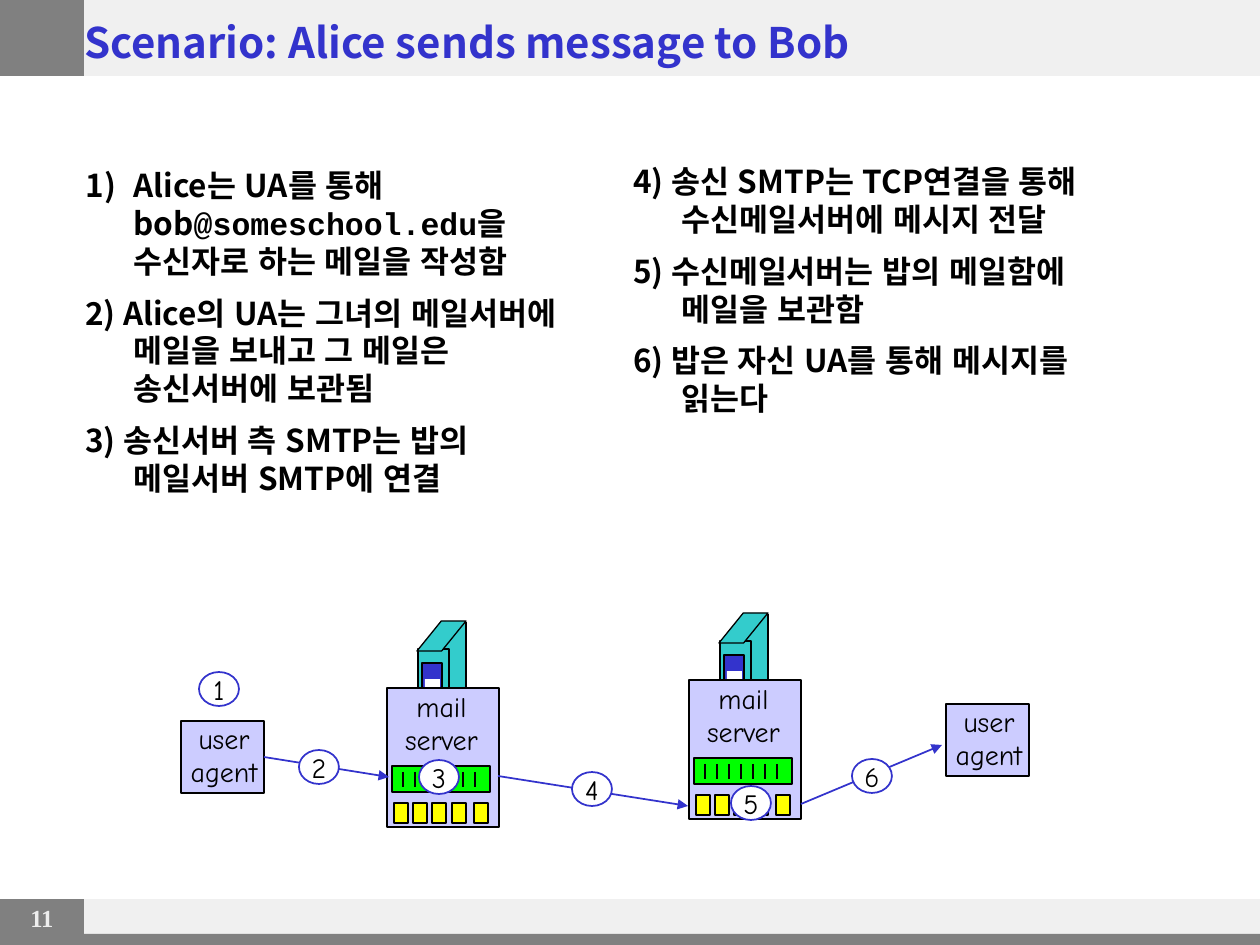
from pptx import Presentation, util as u
from pptx.dml.color import RGBColor
from pptx.enum import lang, shapes, text
from pptx.oxml.ns import qn
from lxml import etree

PX = 914400 / 126
BLACK = RGBColor(0, 0, 0)
WHITE = RGBColor(255, 255, 255)
BLUE = RGBColor(0x33, 0x33, 0xCC)
PALE = RGBColor(0xF0, 0xF0, 0xF0)
SNOW = RGBColor(0xEE, 0xEE, 0xEE)
GRAY = RGBColor(0x80, 0x80, 0x80)
LILAC = RGBColor(0xCC, 0xCC, 0xFF)
TEAL = RGBColor(0x33, 0xCC, 0xCC)
GREEN = RGBColor(0, 255, 0)
YELLOW = RGBColor(255, 255, 0)
NOTO, COMIC, MONO = "Noto Sans CJK KR", "Comic Neue", "Courier New"
RECT = shapes.MSO_SHAPE.RECTANGLE
LEFT, MID = text.PP_ALIGN.LEFT, text.PP_ALIGN.CENTER

prs = Presentation()
prs.slide_width, prs.slide_height = u.Inches(10), u.Inches(7.5)
slide = prs.slides.add_slide(prs.slide_layouts[6])


def draw(kind, x, y, w, h, fill, line=None, width=0.75):
    item = slide.shapes.add_shape(kind, *[round(v * PX) for v in (x, y, w, h)])
    item.shadow.inherit = False
    item.fill.solid()
    item.fill.fore_color.rgb = fill
    if line is None:
        item.line.fill.background()
    else:
        item.line.color.rgb = line
        item.line.width = u.Pt(width)
    return item


def write(item, paras, size, color, align=LEFT, bold=False, wrap=True):
    """Fill a shape, or a new box given as (x, y, w, h), with lists of (words, font)."""
    if isinstance(item, tuple):
        item = slide.shapes.add_textbox(*[round(v * PX) for v in item])
    frame = item.text_frame
    frame.word_wrap = wrap
    for i, runs in enumerate(paras):
        para = frame.paragraphs[0] if i == 0 else frame.add_paragraph()
        para.alignment = align
        for words, face in runs:
            run = para.add_run()
            run.text = words
            font = run.font
            font.size, font.bold, font.name = u.Pt(size), bold, face
            font.color.rgb = color
            font.language_id = lang.MSO_LANGUAGE_ID.KOREAN
            etree.SubElement(run._r.get_or_add_rPr(), qn("a:ea"), typeface=NOTO)
    return frame


# Header and footer bands
draw(RECT, 0, 899, 1260, 46, PALE)
draw(RECT, 0, 899, 84, 46, GRAY)
draw(RECT, 0, 0, 1260, 76, PALE)
draw(RECT, 0, 0, 84, 76, GRAY)
write((5, 897, 74, 42), [[("11", "Times New Roman")]], 14, SNOW, MID, True)
draw(RECT, 0, 934, 1260, 11, GRAY)

# Title
title = write((72, 10, 1135, 63), [[("Scenario: Alice sends message to Bob", NOTO)]],
              24, BLUE, bold=True)
title.vertical_anchor = text.MSO_ANCHOR.MIDDLE

# Steps in two columns
first = [
    [("Alice는 UA를 통해 bob", NOTO), ("@someschool.edu을 수신자로 하는 ", MONO),
     ("메일을 작성함", NOTO)],
    [("2) Alice", NOTO), ("의", COMIC),
     (" UA는 그녀의 메일서버에 메일을 보내고 그 메일은 송신서버에 보관됨", NOTO)],
    [("3) 송신서버 측 SMTP는 밥의 메일서버 SMTP에 연결", NOTO)],
]
second = [
    [("4) 송신 SMTP는 TCP연결을 통해 수신메일서버에 메시지 전달", NOTO)],
    [("5) 수신메일서버는 밥의 메일함에 메일을 보관함", NOTO)],
    [("6) 밥은 자신 UA를 통해 메시지를 읽는다", NOTO)],
]
for x, y, steps in ((73, 160, first), (621, 156, second)):
    frame = write((x, y, 525, 445), steps, 18, BLACK, bold=True)
    for i, para in enumerate(frame.paragraphs):
        para.line_spacing = u.Pt(21.6)
        if i:
            para.space_before = u.Pt(8)
        props = para._p.get_or_add_pPr()
        props.set("marL", str(round(48 * PX)))
        props.set("indent", str(round(-48 * PX)))
        if steps is first and i == 0:
            etree.SubElement(props, qn("a:buFont"), typeface=NOTO)
            etree.SubElement(props, qn("a:buAutoNum"), type="arabicParenR")

# User agents
agents = []
for x, y in ((181, 721), (946, 704)):
    agents.append(draw(RECT, x, y, 83, 72, LILAC, BLACK, 1.5))
    write((x - 6, y - 6, 98, 81), [[("user", COMIC)], [("agent", COMIC)]],
          16, BLACK, MID, wrap=False)

# Mail servers: tower, box, message queue, mailboxes
lines = []
for x, y in ((387, 688), (689, 680)):
    draw(RECT, x + 55, y - 67, 23, 98, TEAL)
    draw(RECT, x + 31, y - 39, 31, 98, TEAL, BLACK)
    top = draw(shapes.MSO_SHAPE.PARALLELOGRAM, x + 30, y - 67, 49, 30, TEAL, BLACK)
    top.adjustments[0] = 0.81
    draw(RECT, x + 35, y - 25, 20, 57, BLUE, BLACK)
    draw(RECT, x + 38, y - 9, 15, 20, WHITE)
    draw(RECT, x, y, 112, 139, LILAC, BLACK, 1.5)
    write((x - 1, y - 5, 111, 81), [[("mail", COMIC)], [("server", COMIC)]],
          16, BLACK, MID, wrap=False)
    draw(RECT, x + 5, y + 78, 98, 26, GREEN, BLACK, 1.5)
    for dx in (7, 26, 45, 65, 87):
        draw(RECT, x + dx, y + 115, 14, 20, YELLOW, BLACK)
    lines.append((x + 79, y - 66, x + 79, y, BLACK, 0.75))
    for i in range(7):
        tick = x + 16 + 12 * i
        lines.append((tick, y + 84, tick, y + 99, BLACK, 1.5))

# Tower edges, queue ticks and message arrows
lines += [
    (264, 757, 389, 777, BLUE, 1),
    (498, 776, 688, 806, BLUE, 1),
    (801, 804, 942, 745, BLUE, 1),
]
for *ends, color, width in lines:
    link = slide.shapes.add_connector(shapes.MSO_CONNECTOR.STRAIGHT,
                                      *[round(v * PX) for v in ends])
    link.line.color.rgb = color
    link.line.width = u.Pt(width)
    if color == BLUE:
        etree.SubElement(link.line._get_or_add_ln(), qn("a:tailEnd"), type="triangle")
    etree.SubElement(link._element.spPr, qn("a:effectLst"))
    if ends[0] == 264:
        link.begin_connect(agents[0], 3)

# Step numbers
spots = ((199, 672), (299, 750), (419, 760), (572, 772), (731, 786), (852, 759))
for n, (x, y) in enumerate(spots, 1):
    disc = draw(shapes.MSO_SHAPE.OVAL, x, y, 40, 34, WHITE, BLUE, 1)
    frame = write(disc, [[(str(n), COMIC)]], 16, BLACK, MID, wrap=False)
    frame.vertical_anchor = text.MSO_ANCHOR.MIDDLE

prs.save("out.pptx")
